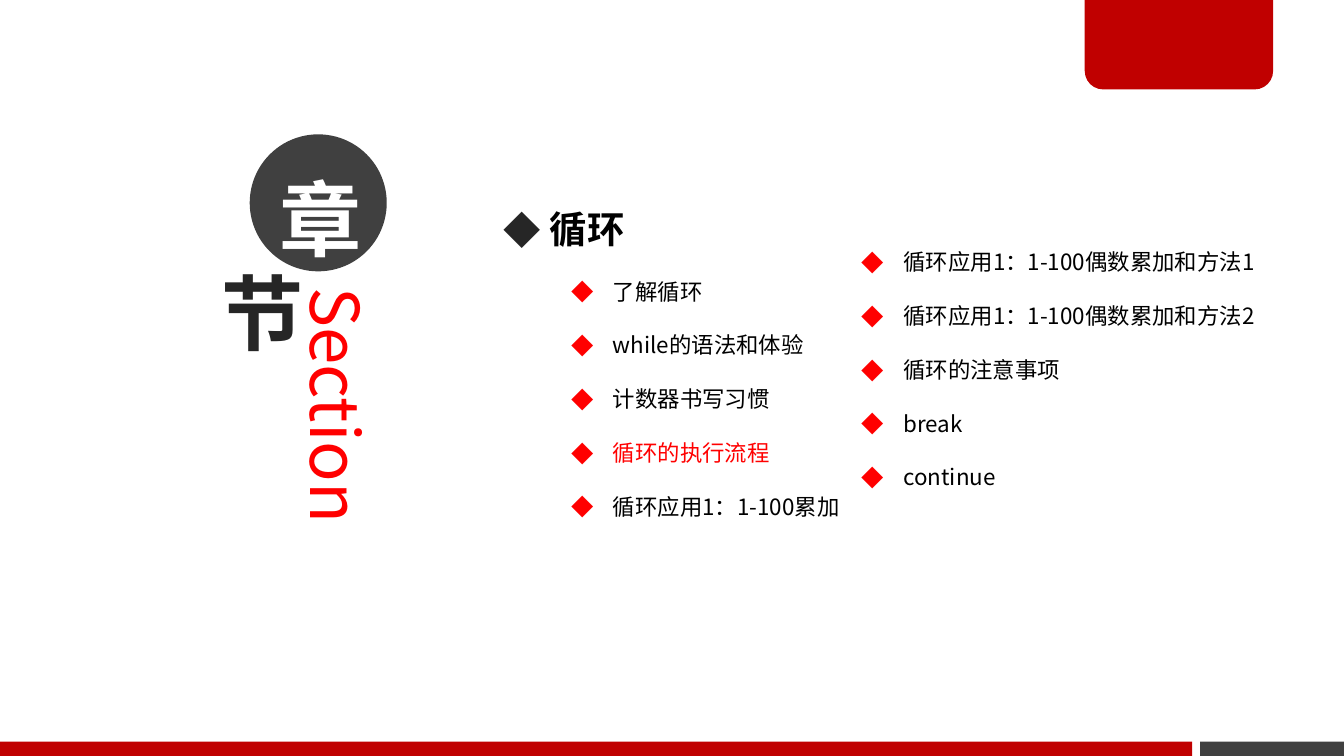
import pptx
import pptx.dml.color
import pptx.enum.shapes
import pptx.enum.text
import pptx.oxml.ns
import pptx.util
from dataclasses import dataclass
from lxml import etree

Cm = pptx.util.Cm
Pt = pptx.util.Pt
qn = pptx.oxml.ns.qn
SHAPE = pptx.enum.shapes.MSO_SHAPE
ALIGN = pptx.enum.text.PP_ALIGN
ANCHOR = pptx.enum.text.MSO_ANCHOR


@dataclass(frozen=True)
class Theme:
    font: str = "Noto Sans CJK SC"
    banner: str = "C00000"
    accent: str = "FF0000"
    gray: str = "404040"
    dark: str = "262626"
    black: str = "000000"
    white: str = "FFFFFF"
    badge_size: int = 44
    section_size: int = 36
    heading_size: int = 20
    item_size: int = 12
    leading: float = 2.4


theme = Theme()


def add_span(para, text, size, color, bold=False):
    """Add a run whose Latin and East Asian text share the theme font."""
    span = para.add_run()
    span.text = text
    span.font.size = Pt(size)
    span.font.bold = bold
    span.font.color.rgb = pptx.dml.color.RGBColor.from_string(color)
    span.font.name = theme.font
    east_asian = etree.SubElement(span.font._element, qn("a:ea"))
    east_asian.set("typeface", theme.font)


def add_filled(kind, left, top, width, height, color=None):
    """Add a shape without line or shadow; no color leaves it unfilled."""
    shape = page.shapes.add_shape(kind, Cm(left), Cm(top), Cm(width), Cm(height))
    shape.shadow.inherit = False
    shape.line.fill.background()
    if color:
        shape.fill.solid()
        shape.fill.fore_color.rgb = pptx.dml.color.RGBColor.from_string(color)
    else:
        shape.fill.background()
    return shape


deck = pptx.Presentation()
deck.slide_width, deck.slide_height = Cm(25.4), Cm(14.29)
page = deck.slides.add_slide(deck.slide_layouts.get_by_name("Two Content"))
title, left_list, right_list = page.placeholders
title.element.getparent().remove(title.element)

# Corner tab and footer bars
add_filled(SHAPE.RECTANGLE, 22.68, 14.02, 2.72, 0.27, theme.gray)
tab = add_filled(SHAPE.ROUND_2_SAME_RECTANGLE, 20.5, -0.05, 3.56, 1.74, theme.banner)
tab.rotation = 180
tab.adjustments[0] = 0.2
add_filled(SHAPE.RECTANGLE, 0, 14.02, 22.53, 0.27, theme.banner)

# Vertical section label
label = page.shapes.add_textbox(Cm(5.54), Cm(5.33), Cm(1.78), Cm(7.34))
frame = label.text_frame
frame.word_wrap = True
frame.margin_left = frame.margin_right = Cm(0.18)
frame.margin_top = frame.margin_bottom = Cm(0.1)
frame._txBody.bodyPr.set("vert", "vert")
add_span(frame.paragraphs[0], "Section", theme.section_size, theme.accent)

# Chapter badges: text, left, top, diameter, fill, text color, top and bottom margin, leading
badges = [
    ("章", 4.72, 2.54, 2.59, theme.gray, theme.white, 0.38, 0, Pt(58)),
    ("节", 3.71, 4.88, 2.03, None, theme.dark, 0.1, 0.1, None),
]
for text, left, top, size, fill, color, margin_top, margin_bottom, leading in badges:
    badge = add_filled(SHAPE.OVAL, left, top, size, size, fill)
    frame = badge.text_frame
    frame.vertical_anchor = ANCHOR.MIDDLE
    frame.margin_left = frame.margin_right = Cm(0.18)
    frame.margin_top, frame.margin_bottom = Cm(margin_top), Cm(margin_bottom)
    para = frame.paragraphs[0]
    para.alignment = ALIGN.CENTER
    para.line_spacing = leading
    add_span(para, text, theme.badge_size, color, bold=True)

# Topic lists: placeholder, left, top, width, height, lines as (level, text)
current_topic = "循环的执行流程"
lists = [
    (left_list, 9.27, 2.92, 11.99, 7.09, [
        (0, " 循环"),
        (1, "了解循环"),
        (1, "while的语法和体验"),
        (1, "计数器书写习惯"),
        (1, current_topic),
        (1, "循环应用1：1-100累加"),
    ]),
    (right_list, 14.76, 4.06, 11.99, 5.33, [
        (1, "循环应用1：1-100偶数累加和方法1"),
        (1, "循环应用1：1-100偶数累加和方法2"),
        (1, "循环的注意事项"),
        (1, "break"),
        (1, "continue"),
    ]),
]
# Per level: text size, bullet color, left indent, hanging indent
levels = [
    (theme.heading_size, theme.dark, 0.48, 0.48),
    (theme.item_size, theme.accent, 2.06, 0.79),
]
for box, left, top, width, height, lines in lists:
    box.left, box.top, box.width, box.height = Cm(left), Cm(top), Cm(width), Cm(height)
    frame = box.text_frame
    frame.word_wrap = True
    frame.auto_size = pptx.enum.text.MSO_AUTO_SIZE.NONE
    frame.vertical_anchor = ANCHOR.TOP
    for number, (level, text) in enumerate(lines):
        size, bullet_color, indent, hanging = levels[level]
        para = frame.add_paragraph() if number else frame.paragraphs[0]
        para.level = level
        para.line_spacing = Pt(size * theme.leading)
        para.space_before = Pt(0)
        props = para._p.get_or_add_pPr()
        props.set("marL", str(Cm(indent)))
        props.set("indent", str(-Cm(hanging)))
        bullet_fill = etree.SubElement(props, qn("a:buClr"))
        etree.SubElement(bullet_fill, qn("a:srgbClr")).set("val", bullet_color)
        etree.SubElement(props, qn("a:buFont")).set("typeface", theme.font)
        etree.SubElement(props, qn("a:buChar")).set("char", "◆")
        color = theme.accent if text == current_topic else theme.black
        add_span(para, text, size, color, bold=level == 0)

deck.save("out.pptx")
